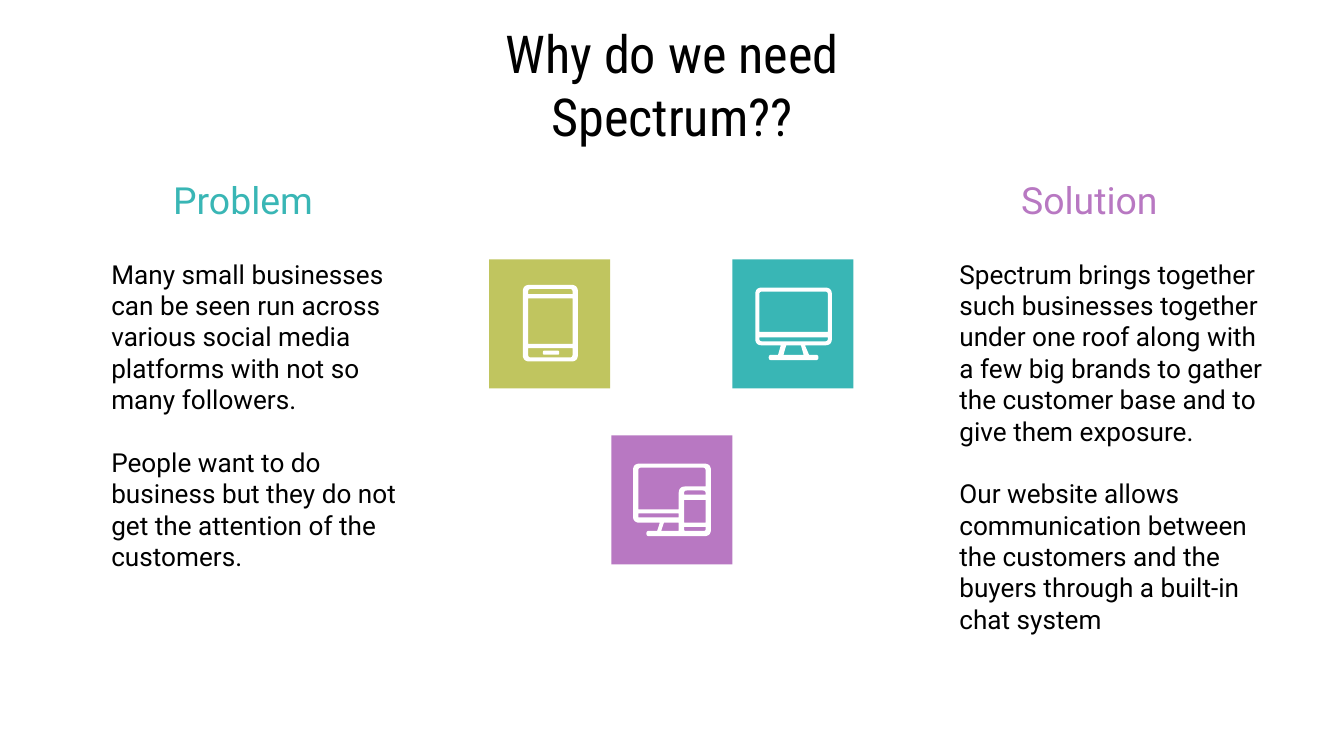
from dataclasses import dataclass
from typing import NamedTuple

from pptx import Presentation
from pptx import util as u
from pptx.dml.color import RGBColor
from pptx.enum import shapes, text

BLACK = RGBColor(0x00, 0x00, 0x00)
WHITE = RGBColor(0xFF, 0xFF, 0xFF)
OLIVE = RGBColor(0xC0, 0xC5, 0x5F)
PURPLE = RGBColor(0xB8, 0x78, 0xC2)
TEAL = RGBColor(0x39, 0xB6, 0xB5)

TILE_WIDTH, TILE_HEIGHT = 0.9, 0.96
ARC_STEPS = 6


class Corner(NamedTuple):
    x: float
    y: float
    radius: float = 0


Contour = tuple[Corner, ...]


@dataclass(frozen=True)
class TextBlock:
    left: float
    top: float
    width: float
    height: float
    paragraphs: tuple[str, ...]
    size: float
    color: RGBColor = BLACK
    font: str = "Roboto"
    align: text.PP_ALIGN = text.PP_ALIGN.LEFT
    anchor: text.MSO_ANCHOR = text.MSO_ANCHOR.TOP
    fit: text.MSO_AUTO_SIZE = text.MSO_AUTO_SIZE.SHAPE_TO_FIT_TEXT


@dataclass(frozen=True)
class IconTile:
    left: float
    top: float
    color: RGBColor
    icons: tuple[tuple[Contour, ...], ...]


def pane(left: float, top: float, right: float, bottom: float,
         upper: float = 0, lower: float = 0) -> Contour:
    return (Corner(left, top, upper), Corner(right, top, upper),
            Corner(right, bottom, lower), Corner(left, bottom, lower))


TEXTS = (
    TextBlock(2.75, 0.45, 4.5, 0.35, ("Why do we need Spectrum??",), 28,
              font="Roboto Condensed", align=text.PP_ALIGN.CENTER,
              anchor=text.MSO_ANCHOR.MIDDLE, fit=text.MSO_AUTO_SIZE.NONE),
    TextBlock(0.73, 1.82, 2.46, 2.56, (
        "Many small businesses can be seen run across various social media "
        "platforms with not so many followers.",
        "People want to do business but they do not get the attention of the "
        "customers.",
    ), 14),
    TextBlock(7.04, 1.82, 2.46, 3.03, (
        "Spectrum brings together such businesses together under one roof "
        "along with a few big brands to gather the customer base and to give "
        "them exposure.",
        "Our website allows communication between the customers and the "
        "buyers through a built-in chat system",
    ), 14),
    TextBlock(1.19, 1.22, 1.54, 0.54, ("Problem",), 20, TEAL),
    TextBlock(7.5, 1.22, 1.54, 0.54, ("Solution",), 20, PURPLE),
)

PHONE = (
    pane(3.89, 2.12, 4.3, 2.69, 0.05, 0.05),
    pane(3.93, 2.15, 4.26, 2.19, upper=0.02),
    pane(3.93, 2.22, 4.26, 2.56),
    pane(3.93, 2.59, 4.26, 2.66, lower=0.02),
)
HOME_BUTTON = (pane(4.04, 2.61, 4.16, 2.64, 0.01, 0.01),)
MONITOR = (
    (Corner(5.62, 2.14, 0.05), Corner(6.19, 2.14, 0.05),
     Corner(6.19, 2.57, 0.05), Corner(5.99, 2.57), Corner(6.02, 2.64),
     Corner(6.09, 2.64, 0.02), Corner(6.09, 2.68, 0.02),
     Corner(5.72, 2.68, 0.02), Corner(5.72, 2.64, 0.02),
     Corner(5.79, 2.64), Corner(5.81, 2.57), Corner(5.62, 2.57, 0.05)),
    pane(5.65, 2.17, 6.16, 2.47, upper=0.02),
    pane(5.65, 2.51, 6.16, 2.54, lower=0.02),
    (Corner(5.85, 2.57), Corner(5.96, 2.57),
     Corner(5.98, 2.64), Corner(5.83, 2.64)),
)
DEVICES = (
    (Corner(4.71, 3.45, 0.05), Corner(5.29, 3.45, 0.05),
     Corner(5.29, 3.99, 0.05), Corner(4.81, 3.99, 0.02),
     Corner(4.81, 3.95, 0.02), Corner(4.89, 3.95), Corner(4.91, 3.89),
     Corner(4.71, 3.89, 0.05)),
    pane(5.09, 3.65, 5.25, 3.68, upper=0.02),
    (Corner(4.75, 3.48, 0.02), Corner(5.25, 3.48, 0.02),
     Corner(5.25, 3.62), Corner(5.05, 3.62, 0.05),
     Corner(5.05, 3.79), Corner(4.75, 3.79)),
    pane(4.75, 3.82, 5.05, 3.85),
    pane(5.09, 3.72, 5.25, 3.89),
    (Corner(4.94, 3.89), Corner(5.05, 3.89),
     Corner(5.05, 3.95), Corner(4.92, 3.95)),
    pane(5.09, 3.92, 5.25, 3.95, lower=0.01),
)

TILES = (
    IconTile(3.64, 1.93, OLIVE, (PHONE, HOME_BUTTON)),
    IconTile(4.55, 3.24, PURPLE, (DEVICES,)),
    IconTile(5.45, 1.93, TEAL, (MONITOR,)),
)


def set_values(target, values: dict) -> None:
    for name, value in values.items():
        setattr(target, name, value)


def toward(start: Corner, end: Corner, distance: float) -> Corner:
    length = ((end.x - start.x) ** 2 + (end.y - start.y) ** 2) ** 0.5
    share = distance / length
    return Corner(start.x + (end.x - start.x) * share,
                  start.y + (end.y - start.y) * share)


def rounded_points(contour: Contour) -> list[tuple[int, int]]:
    points = []
    for index, corner in enumerate(contour):
        before = toward(corner, contour[index - 1], corner.radius)
        after = toward(corner, contour[(index + 1) % len(contour)],
                       corner.radius)
        steps = ARC_STEPS if corner.radius else 0
        for step in range(steps + 1):
            t = step / ARC_STEPS
            weights = ((1 - t) ** 2, 2 * t * (1 - t), t ** 2)
            trio = (before, corner, after)
            x = sum(w * point.x for w, point in zip(weights, trio))
            y = sum(w * point.y for w, point in zip(weights, trio))
            points.append((u.Inches(x), u.Inches(y)))
    return points


def paint(shape, color: RGBColor) -> None:
    shape.shadow.inherit = False
    shape.fill.solid()
    shape.fill.fore_color.rgb = color
    shape.line.fill.background()


def draw_icon(page, contours: tuple[Contour, ...]) -> None:
    outline, *holes = map(rounded_points, contours)
    builder = page.shapes.build_freeform(*outline[0])
    builder.add_line_segments(outline[1:], close=True)
    for hole in holes:
        builder.move_to(*hole[0])
        builder.add_line_segments(hole[1:], close=True)
    paint(builder.convert_to_shape(), WHITE)


def draw_tile(page, tile: IconTile) -> None:
    box = page.shapes.add_shape(
        shapes.MSO_SHAPE.ROUNDED_RECTANGLE,
        *map(u.Inches, (tile.left, tile.top, TILE_WIDTH, TILE_HEIGHT)))
    box.adjustments[0] = 0
    paint(box, tile.color)
    for icon in tile.icons:
        draw_icon(page, icon)


def draw_text(page, block: TextBlock) -> None:
    box = page.shapes.add_textbox(*map(
        u.Inches, (block.left, block.top, block.width, block.height)))
    frame = box.text_frame
    margins = {f"margin_{side}": u.Inches(0.1)
               for side in ("left", "top", "right", "bottom")}
    set_values(frame, {"word_wrap": True, "auto_size": block.fit,
                       "vertical_anchor": block.anchor, **margins})
    for index, wording in enumerate(block.paragraphs):
        para = frame.add_paragraph() if index else frame.paragraphs[0]
        set_values(para, {"alignment": block.align,
                          "space_before": u.Pt(16.8 if index else 0)})
        span = para.add_run()
        span.text = wording
        set_values(span.font, {"name": block.font, "size": u.Pt(block.size)})
        span.font.color.rgb = block.color


def main() -> None:
    deck = Presentation()
    set_values(deck, {"slide_width": u.Inches(10),
                      "slide_height": u.Inches(10) * 9 // 16})
    page = deck.slides.add_slide(deck.slide_layouts[6])
    for tile in TILES:
        draw_tile(page, tile)
    for block in TEXTS:
        draw_text(page, block)
    deck.save("out.pptx")


if __name__ == "__main__":
    main()
